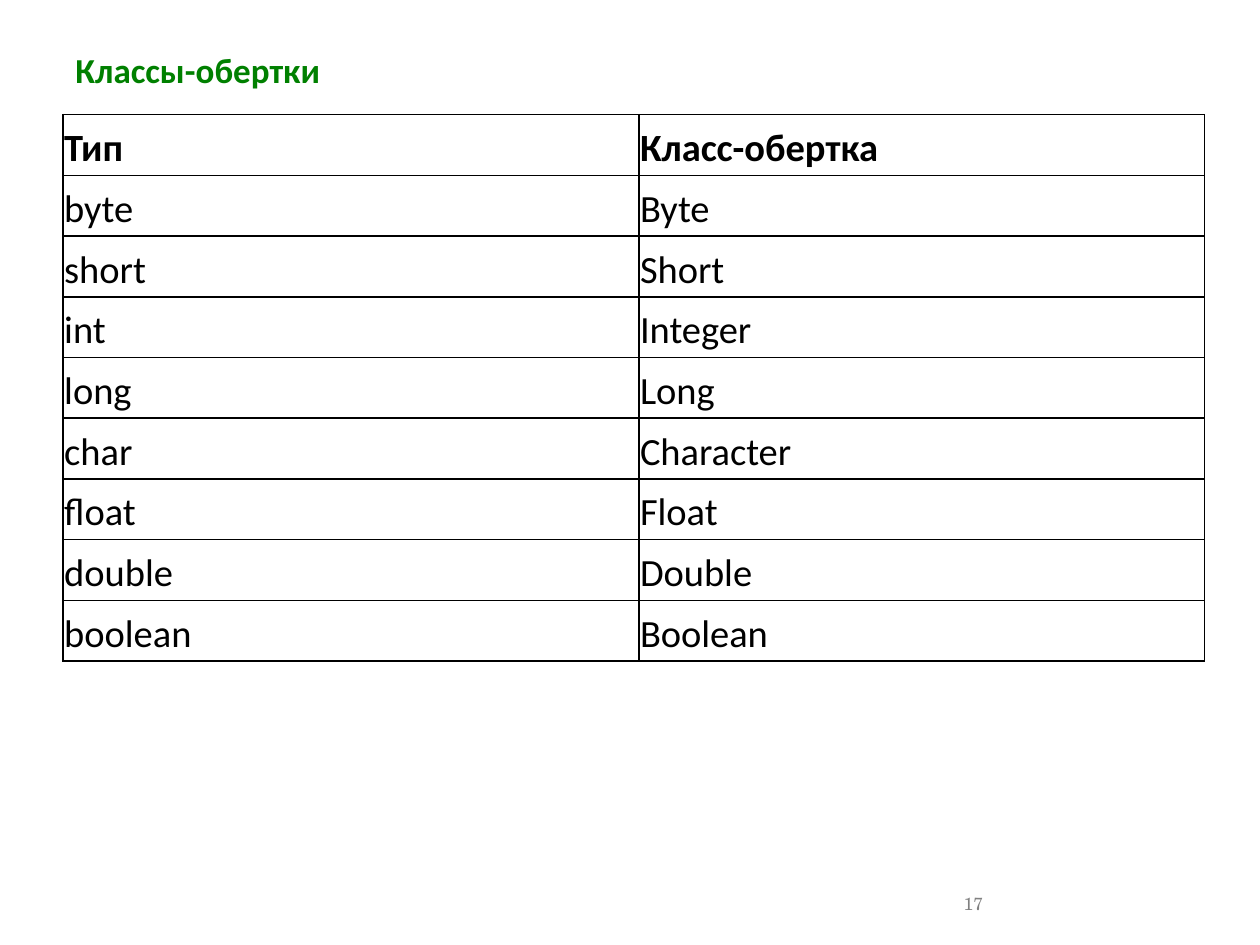
from lxml.etree import SubElement
from pptx import Presentation
from pptx.dml.color import RGBColor
from pptx.enum.text import MSO_ANCHOR
from pptx.oxml.ns import qn
from pptx.util import Inches, Pt

# Content
TITLE = "Классы-обертки"
NUMBER = "17"
ROWS = [
    ("Тип", "Класс-обертка"),
    ("byte", "Byte"),
    ("short", "Short"),
    ("int", "Integer"),
    ("long", "Long"),
    ("char", "Character"),
    ("float", "Float"),
    ("double", "Double"),
    ("boolean", "Boolean"),
]
WIDTHS = (4.57, 4.49)
HEIGHT = 4.34

GREEN = RGBColor(0x00, 0x80, 0x00)
GRAY = RGBColor(0x80, 0x80, 0x80)
BLACK = RGBColor(0x00, 0x00, 0x00)


def write(frame, text, size, color, font="Calibri", bold=False, space=1.0):
    frame.text = text
    para = frame.paragraphs[0]
    para.line_spacing = space
    style = para.runs[0].font
    style.name, style.size, style.bold = font, Pt(size), bold
    style.color.rgb = color


def add_text(slide, box, *args, **style):
    frame = slide.shapes.add_textbox(*map(Inches, box)).text_frame
    frame.word_wrap = True
    frame.vertical_anchor = MSO_ANCHOR.MIDDLE
    write(frame, *args, **style)


def add_border(cell):
    props = cell._tc.get_or_add_tcPr()
    for side in ("a:lnL", "a:lnR", "a:lnT", "a:lnB"):
        line = SubElement(props, qn(side), w=str(Pt(1)))
        fill = SubElement(line, qn("a:solidFill"))
        SubElement(fill, qn("a:srgbClr"), val=str(BLACK))


def add_grid(slide):
    shape = slide.shapes.add_table(
        len(ROWS), len(WIDTHS), Inches(0.5), Inches(0.91),
        Inches(sum(WIDTHS)), Inches(HEIGHT))
    table = shape.table
    table.first_row = table.horz_banding = False
    for col, width in zip(table.columns, WIDTHS):
        col.width = Inches(width)
    for r, row in enumerate(ROWS):
        table.rows[r].height = Inches(HEIGHT / len(ROWS))
        for c, text in enumerate(row):
            cell = table.cell(r, c)
            cell.margin_left = cell.margin_right = Inches(0.01)
            cell.margin_top = cell.margin_bottom = Inches(0.01)
            cell.vertical_anchor = MSO_ANCHOR.MIDDLE
            write(cell.text_frame, text, 22, BLACK, bold=r == 0, space=1.15)
            # Borders come before the fill in the cell properties
            add_border(cell)
            cell.fill.background()


def main():
    deck = Presentation()
    deck.slide_width, deck.slide_height = Inches(10), Inches(7.5)
    slide = deck.slides.add_slide(deck.slide_layouts[6])

    # Title, slide number, table
    add_text(slide, (0.5, 0.38, 8.12, 0.38), TITLE, 20, GREEN,
             bold=True, space=0.9)
    add_text(slide, (7.55, 6.97, 2.33, 0.4), NUMBER, 10, GRAY,
             font="TeX Gyre Schola")
    add_grid(slide)
    deck.save("out.pptx")


if __name__ == "__main__":
    main()
